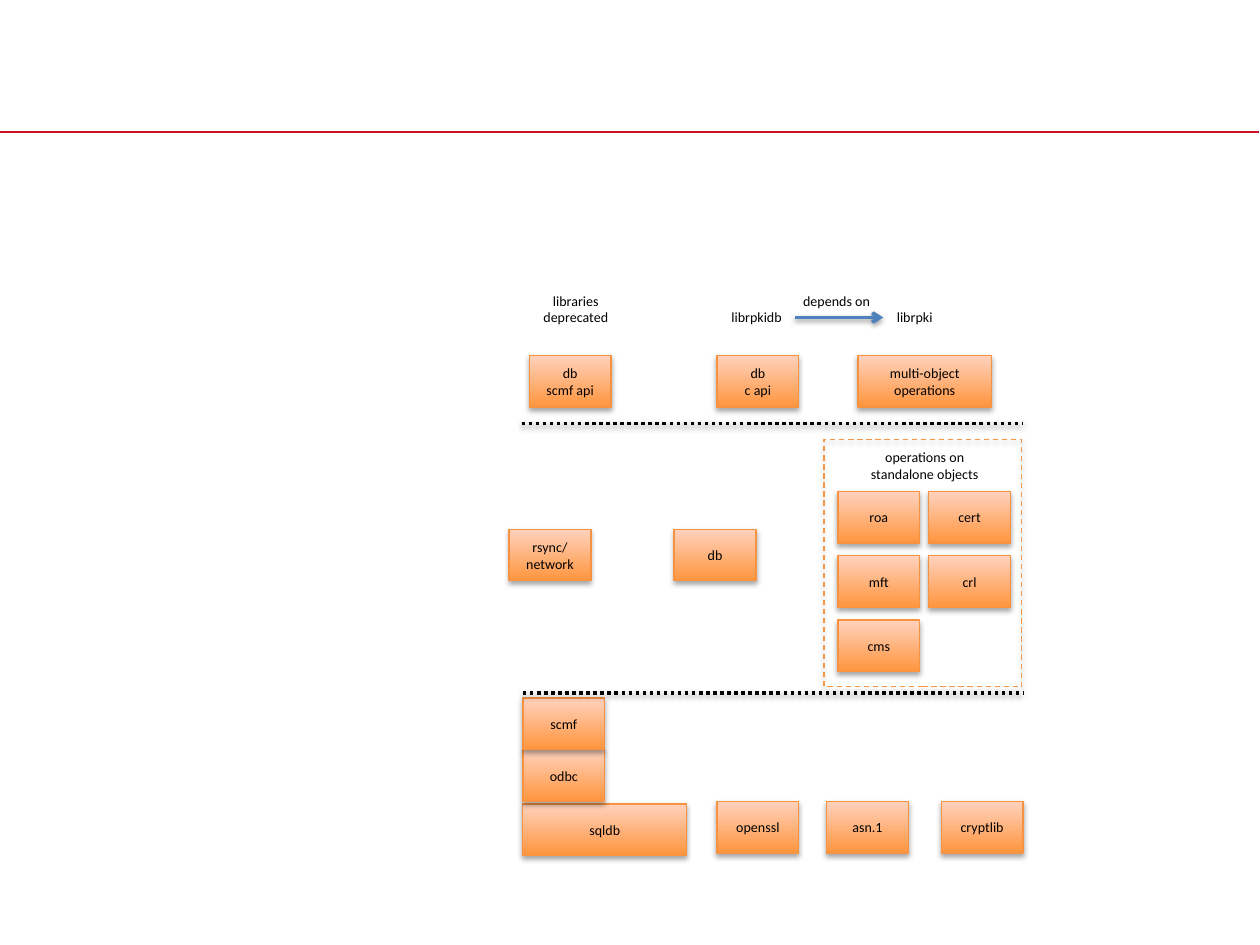
from dataclasses import dataclass
from typing import Any, Optional

import lxml.etree
import pptx
import pptx.dml.color
import pptx.enum.dml
import pptx.enum.shapes
import pptx.enum.text
import pptx.oxml.ns
import pptx.util
from pptx.util import Inches

RGBColor = pptx.dml.color.RGBColor
BLACK = RGBColor(0x00, 0x00, 0x00)
RED = RGBColor(0xCE, 0x11, 0x26)
BLUE = RGBColor(0x4F, 0x81, 0xBD)
ORANGE_DARK = RGBColor(0xFF, 0x95, 0x3E)
ORANGE_LIGHT = RGBColor(0xFF, 0xD2, 0xBD)
ORANGE_LINE = RGBColor(0xF6, 0x92, 0x40)
ORANGE_FRAME = RGBColor(0xF7, 0x96, 0x46)

BOX_WIDTH, BOX_HEIGHT = 0.65, 0.41
DASH = pptx.enum.dml.MSO_LINE_DASH_STYLE


@dataclass
class Module:
    text: str
    left: float
    top: float
    width: float = BOX_WIDTH


@dataclass
class Label:
    text: str
    left: float
    top: float
    width: float
    height: float = 0.24


@dataclass
class Rule:
    left: float
    right: float
    top: float
    color: RGBColor
    weight: float = 2
    dash: Optional[Any] = None
    arrow: bool = False
    shadow: bool = True


def add_shadow(shape: Any, opacity: int, distance: float) -> None:
    """Give a shape or connector a soft shadow that falls straight down."""
    qn = pptx.oxml.ns.qn
    properties = shape._element.spPr
    effects = properties.find(qn("a:effectLst"))
    if effects is None:
        effects = lxml.etree.SubElement(properties, qn("a:effectLst"))
    if not opacity:
        return
    outer = lxml.etree.SubElement(
        effects, qn("a:outerShdw"), blurRad=str(pptx.util.Pt(3.1)),
        dist=str(pptx.util.Pt(distance)), dir="5400000", rotWithShape="0")
    color = lxml.etree.SubElement(outer, qn("a:srgbClr"), val=str(BLACK))
    lxml.etree.SubElement(color, qn("a:alpha"), val=str(opacity * 1000))


def write_text(frame: Any, text: str) -> None:
    for index, line in enumerate(text.split("\n")):
        para = frame.paragraphs[0] if index == 0 else frame.add_paragraph()
        para.alignment = pptx.enum.text.PP_ALIGN.CENTER
        span = para.add_run()
        span.text = line
        span.font.name = "Calibri"
        span.font.size = pptx.util.Pt(8)
        span.font.color.rgb = BLACK


def add_rectangle(shapes: Any, left: float, top: float, width: float,
                  height: float, color: RGBColor) -> Any:
    box = shapes.add_shape(
        pptx.enum.shapes.MSO_SHAPE.RECTANGLE,
        Inches(left), Inches(top), Inches(width), Inches(height))
    box.line.color.rgb = color
    box.line.width = pptx.util.Pt(0.75)
    box.shadow.inherit = False
    add_shadow(box, 35, 1.8)
    return box


def add_module(shapes: Any, module: Module) -> None:
    box = add_rectangle(shapes, module.left, module.top, module.width,
                        BOX_HEIGHT, ORANGE_LINE)
    box.fill.gradient()
    box.fill.gradient_angle = 90
    for stop, color in zip(box.fill.gradient_stops,
                           (ORANGE_DARK, ORANGE_LIGHT)):
        stop.color.rgb = color
    box.text_frame.vertical_anchor = pptx.enum.text.MSO_ANCHOR.MIDDLE
    write_text(box.text_frame, module.text)


def add_label(shapes: Any, label: Label) -> None:
    box = shapes.add_textbox(Inches(label.left), Inches(label.top),
                             Inches(label.width), Inches(label.height))
    box.text_frame.word_wrap = False
    box.text_frame.auto_size = pptx.enum.text.MSO_AUTO_SIZE.SHAPE_TO_FIT_TEXT
    write_text(box.text_frame, label.text)


def add_rule(shapes: Any, rule: Rule) -> None:
    line = shapes.add_connector(
        pptx.enum.shapes.MSO_CONNECTOR.STRAIGHT, Inches(rule.left),
        Inches(rule.top), Inches(rule.right), Inches(rule.top))
    line.line.color.rgb = rule.color
    line.line.width = pptx.util.Pt(rule.weight)
    if rule.dash is not None:
        line.line.dash_style = rule.dash
    if rule.arrow:
        lxml.etree.SubElement(line.line._get_or_add_ln(),
                              pptx.oxml.ns.qn("a:tailEnd"), type="arrow")
    add_shadow(line, 38 if rule.shadow else 0, 1.6)


deck = pptx.Presentation()
deck.slide_width, deck.slide_height = Inches(10), Inches(7.5)
page = deck.slides.add_slide(deck.slide_layouts[6])

# Header rule
add_rule(page.shapes, Rule(0, 9.99, 1.05, RED, weight=1, shadow=False))

# External libraries, with the database stack on the left
for external in (
    Module("cryptlib", 7.47, 6.36),
    Module("asn.1", 6.56, 6.36),
    Module("openssl", 5.69, 6.36),
    Module("sqldb", 4.15, 6.38, 2 * BOX_WIDTH),
    Module("odbc", 4.15, 5.95),
    Module("scmf", 4.15, 5.54),
):
    add_module(page.shapes, external)

# Standalone object operations: a two-column grid in a dashed frame
standalone = page.shapes.add_group_shape().shapes
add_label(standalone, Label("operations on\nstandalone objects",
                            6.81, 3.51, 1.06, 0.37))
for index, name in enumerate(("roa", "cert", "mft", "crl", "cms")):
    row, column = divmod(index, 2)
    add_module(standalone, Module(name, 6.65 + 0.72 * column,
                                  3.9 + 0.51 * row))
frame = add_rectangle(standalone, 6.54, 3.49, 1.57, 1.96, ORANGE_FRAME)
frame.fill.background()
frame.line.dash_style = DASH.DASH

# Middle and upper layers
for module in (
    Module("db", 5.35, 4.2),
    Module("rsync/\nnetwork", 4.04, 4.2),
    Module("multi-object\noperations", 6.81, 2.82, 1.06),
    Module("db\nc api", 5.69, 2.82),
    Module("db\nscmf api", 4.2, 2.82),
):
    add_module(page.shapes, module)

# Layer separators and dependency arrow
for rule in (
    Rule(4.15, 8.12, 5.5, BLACK, dash=DASH.ROUND_DOT),
    Rule(4.14, 8.12, 3.36, BLACK, dash=DASH.ROUND_DOT),
    Rule(6.31, 7.01, 2.52, BLUE, arrow=True),
):
    add_rule(page.shapes, rule)

# Library names
for label in (
    Label("libraries\ndeprecated", 4.21, 2.27, 0.72, 0.37),
    Label("librpkidb", 5.7, 2.4, 0.61),
    Label("librpki", 7.01, 2.4, 0.5),
    Label("depends on", 6.27, 2.27, 0.74),
):
    add_label(page.shapes, label)

deck.save("out.pptx")
